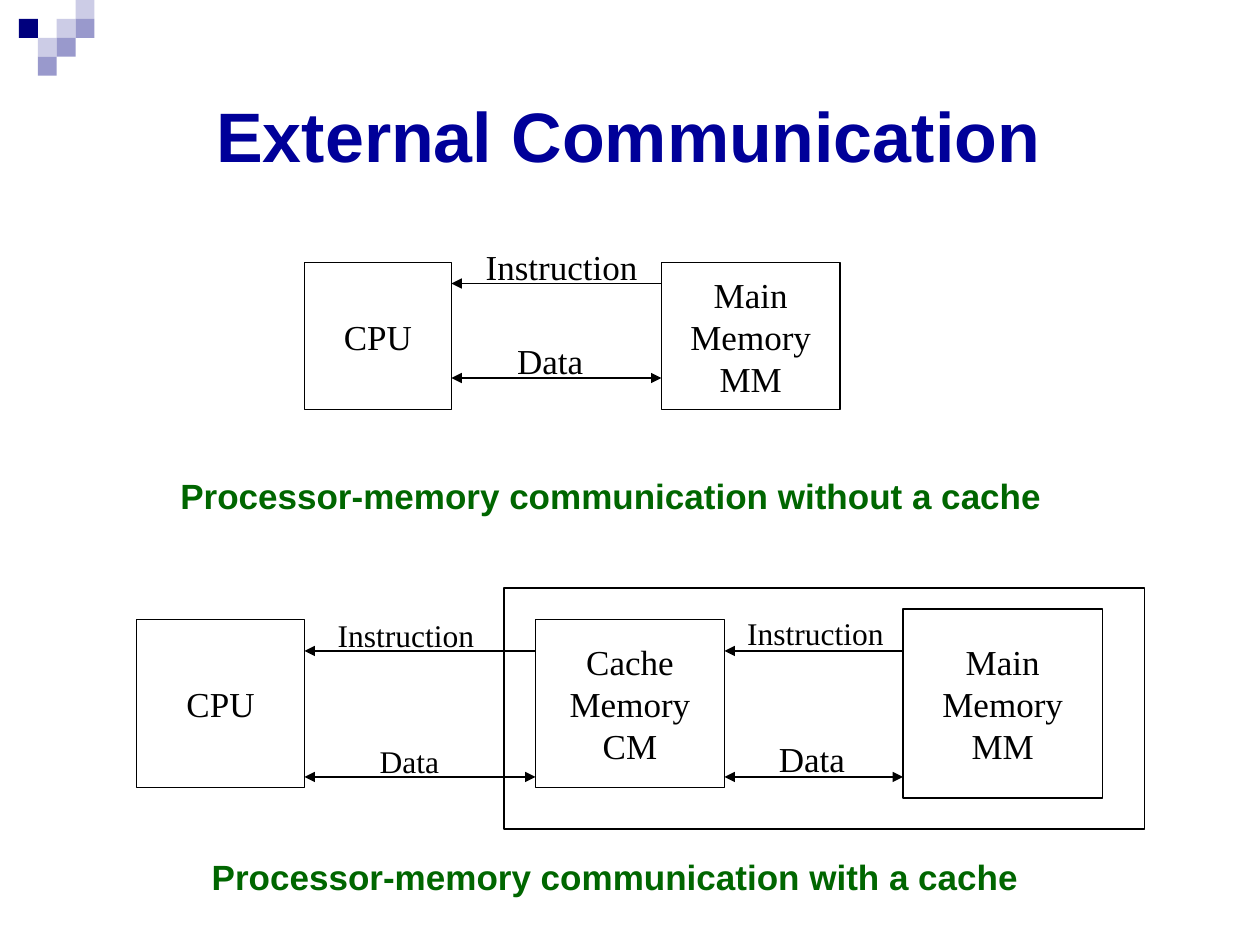
from dataclasses import dataclass
from typing import Any

from lxml import etree
from pptx import Presentation
from pptx import util as u
from pptx.dml.color import RGBColor
from pptx.enum import shapes, text
from pptx.oxml import ns


@dataclass(frozen=True)
class Theme:
    ink: str = "000000"
    title: str = "000099"
    caption: str = "006600"
    light: str = "CCCCE6"
    medium: str = "9999CC"
    dark: str = "00007D"
    sans: str = "Arial"
    serif: str = "Times New Roman"
    title_size: int = 40
    body_size: int = 20
    small_size: int = 18
    line_width: int = 1
    box_inset: int = 14


@dataclass(frozen=True)
class Box:
    left: float
    top: float
    width: float
    height: float
    name: str = ""


@dataclass(frozen=True)
class Arrow:
    """A level arrow that points left, or both ways."""
    left: float
    right: float
    y: float
    both: bool = False


@dataclass(frozen=True)
class Label:
    left: float
    top: float
    width: float
    words: str
    size: int
    caption: bool = False


THEME = Theme()
CELL = 10.8
CORNER_CELLS = {  # (column, row) of each square
    THEME.light: [(2, 1), (3, 0), (1, 2)],
    THEME.medium: [(3, 1), (2, 2), (1, 3)],
    THEME.dark: [(0, 1)],
}
BOXES = [
    Box(174, 150, 84, 84, "CPU"),
    Box(378, 150, 102, 84, "Main Memory MM"),
    Box(288, 336, 366, 138),
    Box(78, 354, 96, 96, "CPU"),
    Box(306, 354, 108, 96, "Cache Memory CM"),
    Box(516, 348, 114, 108, "Main Memory MM"),
]
# left, right, instruction height, data height
LINKS = [(258, 378, 162, 216), (174, 306, 372, 444), (414, 516, 372, 444)]
LABELS = [
    Label(277.5, 139, 94, "Instruction", THEME.body_size),
    Label(295.5, 193, 46, "Data", THEME.body_size),
    Label(103, 270, 506, "Processor-memory communication without a cache",
          THEME.body_size, True),
    Label(193, 351, 86, "Instruction", THEME.small_size),
    Label(217, 423, 42, "Data", THEME.small_size),
    Label(427, 350, 86, "Instruction", THEME.small_size),
    Label(445, 420.5, 46, "Data", THEME.body_size),
    Label(121, 488, 476, "Processor-memory communication with a cache",
          THEME.body_size, True),
]


def apply(target: Any, values: dict[str, Any]) -> None:
    for name, value in values.items():
        setattr(target, name, value)


def write(shape: Any, words: str, font: dict[str, Any], color: str,
          frame: dict[str, Any], align: Any) -> None:
    apply(shape.text_frame, frame)
    paragraph = shape.text_frame.paragraphs[0]
    paragraph.alignment = align
    run = paragraph.add_run()
    run.text = words
    apply(run.font, font)
    run.font.color.rgb = RGBColor.from_string(color)


def margins(side: float, top: float) -> dict[str, Any]:
    return {"margin_left": u.Pt(side), "margin_right": u.Pt(side),
            "margin_top": u.Pt(top), "margin_bottom": u.Pt(0)}


def add_rectangle(slide: Any, box: Box) -> Any:
    shape = slide.shapes.add_shape(
        shapes.MSO_SHAPE.RECTANGLE, u.Pt(box.left), u.Pt(box.top),
        u.Pt(box.width), u.Pt(box.height))
    shape.shadow.inherit = False
    return shape


def draw_corner(slide: Any) -> None:
    for color, cells in CORNER_CELLS.items():
        for column, row in cells:
            square = add_rectangle(
                slide, Box((column + 1) * CELL, row * CELL, CELL, CELL))
            square.fill.solid()
            square.fill.fore_color.rgb = RGBColor.from_string(color)
            square.line.fill.background()


def style_line(line: Any) -> None:
    line.color.rgb = RGBColor.from_string(THEME.ink)
    line.width = u.Pt(THEME.line_width)


def draw_box(slide: Any, box: Box) -> None:
    shape = add_rectangle(slide, box)
    shape.fill.background()
    style_line(shape.line)
    if box.name:
        frame = margins(THEME.box_inset, 0) | {
            "word_wrap": True, "vertical_anchor": text.MSO_ANCHOR.MIDDLE}
        write(shape, box.name,
              {"name": THEME.serif, "size": u.Pt(THEME.body_size)},
              THEME.ink, frame, text.PP_ALIGN.CENTER)


def draw_arrow(slide: Any, arrow: Arrow) -> None:
    connector = slide.shapes.add_connector(
        shapes.MSO_CONNECTOR.STRAIGHT, u.Pt(arrow.right), u.Pt(arrow.y),
        u.Pt(arrow.left), u.Pt(arrow.y))
    style_line(connector.line)
    ends = ["a:headEnd", "a:tailEnd"] if arrow.both else ["a:tailEnd"]
    for end in ends:
        etree.SubElement(connector.line._get_or_add_ln(), ns.qn(end),
                         type="triangle", w="med", len="med")
    etree.SubElement(connector._element.spPr, ns.qn("a:effectLst"))


def draw_label(slide: Any, label: Label) -> None:
    shape = slide.shapes.add_textbox(
        u.Pt(label.left), u.Pt(label.top), u.Pt(label.width),
        u.Pt(label.size * 1.3))
    font = {"name": THEME.sans if label.caption else THEME.serif,
            "size": u.Pt(label.size), "bold": label.caption}
    write(shape, label.words, font,
          THEME.caption if label.caption else THEME.ink,
          margins(0, 1) | {"word_wrap": True}, text.PP_ALIGN.LEFT)


def draw_title(slide: Any) -> None:
    title = slide.shapes.title
    apply(title, {"left": u.Pt(65), "top": u.Pt(52),
                  "width": u.Pt(588), "height": u.Pt(50)})
    frame = margins(0, 1) | {"word_wrap": True,
                             "auto_size": text.MSO_AUTO_SIZE.NONE,
                             "vertical_anchor": text.MSO_ANCHOR.TOP}
    write(title, "External Communication",
          {"name": THEME.sans, "size": u.Pt(THEME.title_size), "bold": True},
          THEME.title, frame, text.PP_ALIGN.CENTER)


def main() -> None:
    presentation = Presentation()
    apply(presentation, {"slide_width": u.Pt(720), "slide_height": u.Pt(540)})
    slide = presentation.slides.add_slide(presentation.slide_layouts[5])
    draw_corner(slide)
    draw_title(slide)
    for box in BOXES:
        draw_box(slide, box)
    for left, right, instruction_y, data_y in LINKS:
        draw_arrow(slide, Arrow(left, right, instruction_y))
        draw_arrow(slide, Arrow(left, right, data_y, both=True))
    for label in LABELS:
        draw_label(slide, label)
    presentation.save("out.pptx")


if __name__ == "__main__":
    main()
